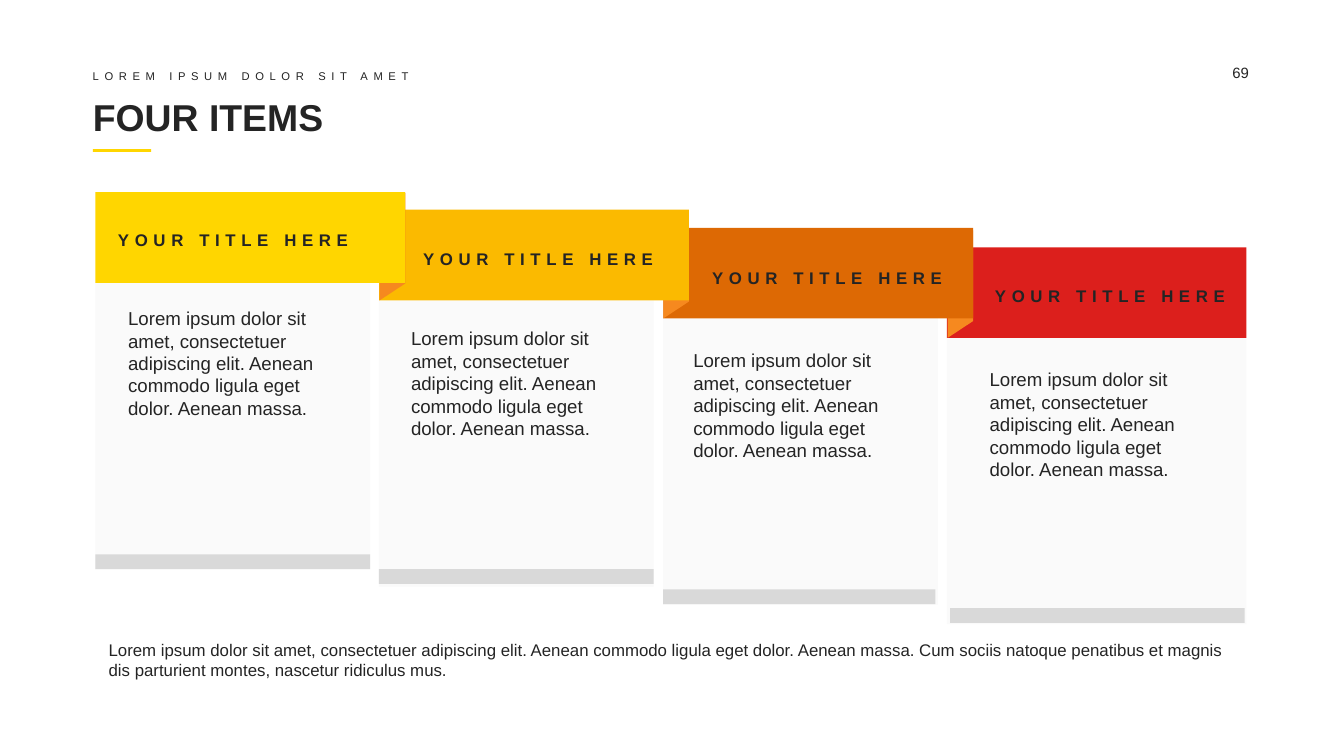
from collections import namedtuple

from pptx import Presentation
from pptx.dml.color import RGBColor
from pptx.enum.shapes import MSO_SHAPE
from pptx.enum.text import MSO_ANCHOR, MSO_AUTO_SIZE, PP_ALIGN
from pptx.oxml.ns import qn
from pptx.util import Pt
from lxml import etree

RECTANGLE = MSO_SHAPE.RECTANGLE
PARALLELOGRAM = MSO_SHAPE.PARALLELOGRAM
MIDDLE, TOP = MSO_ANCHOR.MIDDLE, MSO_ANCHOR.TOP
LEFT = PP_ALIGN.LEFT
GROW, FIXED = MSO_AUTO_SIZE.SHAPE_TO_FIT_TEXT, MSO_AUTO_SIZE.NONE

EMU_PER_PX = 4572  # 200 px to the inch
TITLE_ONLY = 5

HEADING = "YOUR TITLE HERE"
BODY = ("Lorem ipsum dolor sit amet, consectetuer adipiscing elit. "
        "Aenean commodo ligula eget dolor. Aenean massa.")
SUMMARY = BODY + (" Cum sociis natoque penatibus et magnis dis parturient "
                  "montes, nascetur ridiculus mus.")


def emu(*lengths):
    return [length * EMU_PER_PX for length in lengths]


def color(hex_string):
    return RGBColor.from_string(hex_string)


def write(frame, text, size=9, bold=False, spacing=0, anchor=TOP,
          inset=None, auto_size=GROW):
    """Put one formatted paragraph into a text frame."""
    frame.word_wrap = True
    frame.auto_size = auto_size
    frame.vertical_anchor = anchor
    if inset is not None:
        frame.margin_left, frame.margin_top = emu(inset, inset)
        frame.margin_right, frame.margin_bottom = emu(inset, inset)
    para = frame.paragraphs[0]
    para.alignment = LEFT
    span = para.add_run()
    span.text = text
    span.font.name = Style.font
    span.font.size = Pt(size)
    span.font.bold = bold
    span.font.color.rgb = color(Style.ink)
    if spacing:
        span.font._element.set("spc", str(spacing * 100))


class Style:
    font = "Arial"
    ink = "242424"
    accent = "FFD600"
    panel = "D0CECE"
    foot = "D9D9D9"
    fold = "F6891F"

    def __init__(self, page):
        self.page = page

    def shape(self, kind, left, top, width, height, fill, opacity=100):
        shape = self.page.shapes.add_shape(kind, *emu(left, top, width, height))
        shape.shadow.inherit = False
        shape.line.fill.background()
        shape.fill.solid()
        shape.fill.fore_color.rgb = color(fill)
        if opacity < 100:
            tint = shape.fill._xPr.find(".//" + qn("a:srgbClr"))
            etree.SubElement(tint, qn("a:alpha")).set("val", str(opacity * 1000))
        return shape

    def ribbon_fold(self, right, bottom):
        """Turn a parallelogram upright, ending at the given corner."""
        length, depth = 160, 38
        fold = self.shape(PARALLELOGRAM, right - (length + depth) // 2,
                          bottom - (length + depth) // 2, length, depth, self.fold)
        fold.adjustments[0] = 0.66
        fold.rotation = 90
        fold._element.spPr.find(qn("a:xfrm")).set("flipV", "1")

    def text(self, left, top, width, height, text, **text_format):
        box = self.page.shapes.add_textbox(*emu(left, top, width, height))
        write(box.text_frame, text, **text_format)

    def title(self, left, top, width, height, text, **text_format):
        title = self.page.shapes.title
        title.left, title.top, title.width, title.height = emu(left, top, width, height)
        write(title.text_frame, text, **text_format)


Card = namedtuple("Card", "fill left top width ribbon_width foot_left foot_top "
                          "foot_width heading_left body_left body_top")
CARDS = [
    Card("FFD600", 142, 286, 409, 461, 142, 825, 409, 156, 171, 447),
    Card("FBBA00", 564, 312, 409, 461, 564, 847, 409, 610, 592, 477),
    Card("DD6904", 987, 339, 409, 461, 987, 877, 405, 1040, 1012, 510),
    Card("DC1F1C", 1409, 368, 446, 446, 1414, 905, 438, 1461, 1453, 538),
]
RIBBON_HEIGHT = 135


def main():
    deck = Presentation()
    deck.slide_width, deck.slide_height = emu(2000, 1125)
    page = deck.slides.add_slide(deck.slide_layouts[TITLE_ONLY])
    style = Style(page)

    # Header
    style.title(138, 137, 1724, 74, "FOUR ITEMS", size=20, bold=True,
                anchor=MIDDLE, inset=0, auto_size=FIXED)
    style.text(138, 103, 1434, 20, "LOREM IPSUM DOLOR SIT AMET", size=6,
               spacing=3, anchor=MIDDLE, inset=0)
    style.text(1834, 94, 86, 32, "69", size=8, inset=0, auto_size=FIXED)
    style.shape(RECTANGLE, 138, 222, 87, 4, style.accent)

    # Panels and ribbons, right to left so each ribbon overlaps the next one
    following = None
    for card in reversed(CARDS):
        style.shape(RECTANGLE, card.left, card.top + RIBBON_HEIGHT, card.width,
                    426, style.panel, opacity=10)
        if following:
            style.ribbon_fold(card.left + card.ribbon_width,
                              following.top + RIBBON_HEIGHT)
        style.shape(RECTANGLE, card.left, card.top, card.ribbon_width,
                    RIBBON_HEIGHT, card.fill)
        following = card

    # Panel feet and texts
    for index, card in enumerate(CARDS):
        style.shape(RECTANGLE, card.foot_left, card.foot_top, card.foot_width,
                    22, style.foot)
        style.text(card.heading_left, 332 + 28 * index, 400, 50, HEADING,
                   bold=True, spacing=3)
        style.text(card.body_left, card.body_top, 358, 188, BODY, size=10)

    # Summary
    style.text(142, 942, 1718, 80, SUMMARY)

    deck.save("out.pptx")


if __name__ == "__main__":
    main()
